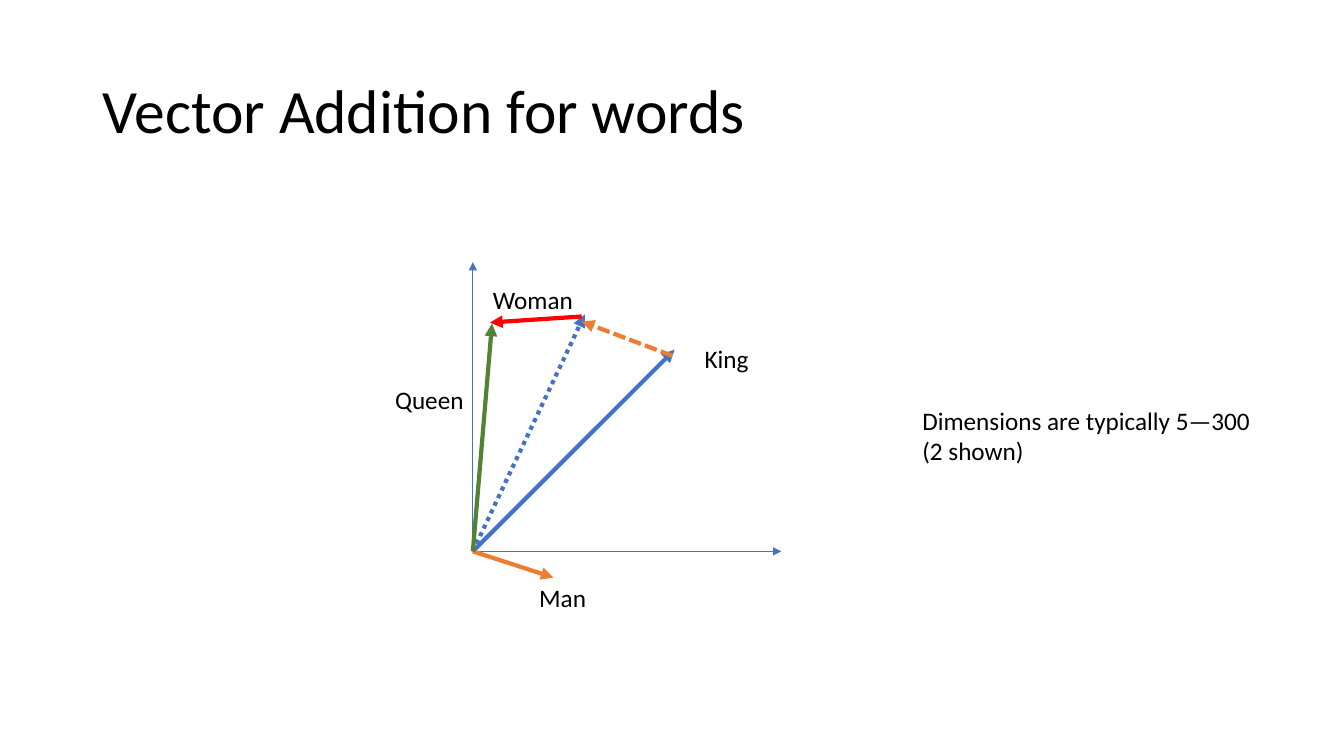
from pptx import Presentation
from pptx.dml.color import RGBColor
from pptx.enum.dml import MSO_LINE
from pptx.enum.shapes import MSO_CONNECTOR
from pptx.enum.text import MSO_ANCHOR, MSO_AUTO_SIZE
from pptx.oxml.ns import qn
from pptx.util import Inches, Pt
from lxml import etree

STRAIGHT = MSO_CONNECTOR.STRAIGHT
MIDDLE = MSO_ANCHOR.MIDDLE
GROW = MSO_AUTO_SIZE.SHAPE_TO_FIT_TEXT
DOTTED = MSO_LINE.ROUND_DOT
DASHED = MSO_LINE.SQUARE_DOT
FONT = "Calibri"
BLACK, BLUE, ORANGE = "000000", "4472C4", "ED7D31"
RED, GREEN = "FF0000", "548235"
ORIGIN = (4.69, 5.47)


def paint(color_format, color):
    color_format.rgb = RGBColor.from_string(color)


def add_vector(slide, start, end, color, width=3, dash=None):
    points = [Inches(length) for length in start + end]
    vector = slide.shapes.add_connector(STRAIGHT, *points)
    paint(vector.line.color, color)
    vector.line.width = Pt(width)
    if dash is not None:
        vector.line.dash_style = dash
    etree.SubElement(vector.line._get_or_add_ln(), qn("a:tailEnd"), type="triangle")
    etree.SubElement(vector._element.spPr, qn("a:effectLst"))


def add_text(slide, box, text, size=18):
    label = slide.shapes.add_textbox(*[Inches(length) for length in box])
    frame = label.text_frame
    frame.text = text
    frame.word_wrap = False
    frame.auto_size = GROW
    for paragraph in frame.paragraphs:
        for run in paragraph.runs:
            run.font.name = FONT
            run.font.size = Pt(size)
            paint(run.font.color, BLACK)
    return frame


def add_title(slide, text):
    frame = add_text(slide, (0.92, 0.4, 11.5, 1.45), text, 44)
    frame.auto_size = MSO_AUTO_SIZE.NONE
    frame.word_wrap = True
    frame.vertical_anchor = MIDDLE
    frame.paragraphs[0].line_spacing = 0.9


def main():
    presentation = Presentation()
    presentation.slide_width = Inches(13.33)
    presentation.slide_height = Inches(7.5)
    slide = presentation.slides.add_slide(presentation.slide_layouts[6])

    add_title(slide, "Vector Addition for words")

    for axis_end in ((4.69, 2.6), (7.75, 5.47)):
        add_vector(slide, ORIGIN, axis_end, BLUE, 0.5)

    add_vector(slide, ORIGIN, (6.69, 3.47), BLUE)
    add_vector(slide, ORIGIN, (5.49, 5.73), ORANGE)
    add_vector(slide, ORIGIN, (5.8, 3.12), BLUE, dash=DOTTED)
    add_vector(slide, (5.77, 3.14), (4.86, 3.2), RED)
    add_vector(slide, ORIGIN, (4.88, 3.21), GREEN)
    add_vector(slide, (6.67, 3.53), (5.77, 3.19), ORANGE, dash=DASHED)

    words = [
        ("King", 6.89, 3.36, 0.64),
        ("Woman", 4.79, 2.77, 1),
        ("Man", 5.25, 5.73, 0.67),
        ("Queen", 3.82, 3.76, 0.89),
    ]
    for word, left, top, width in words:
        add_text(slide, (left, top, width, 0.4), word)

    add_text(slide, (9.05, 3.97, 3.46, 0.71),
             "Dimensions are typically 5\u2014300\n(2 shown)")

    presentation.save("out.pptx")


main()
